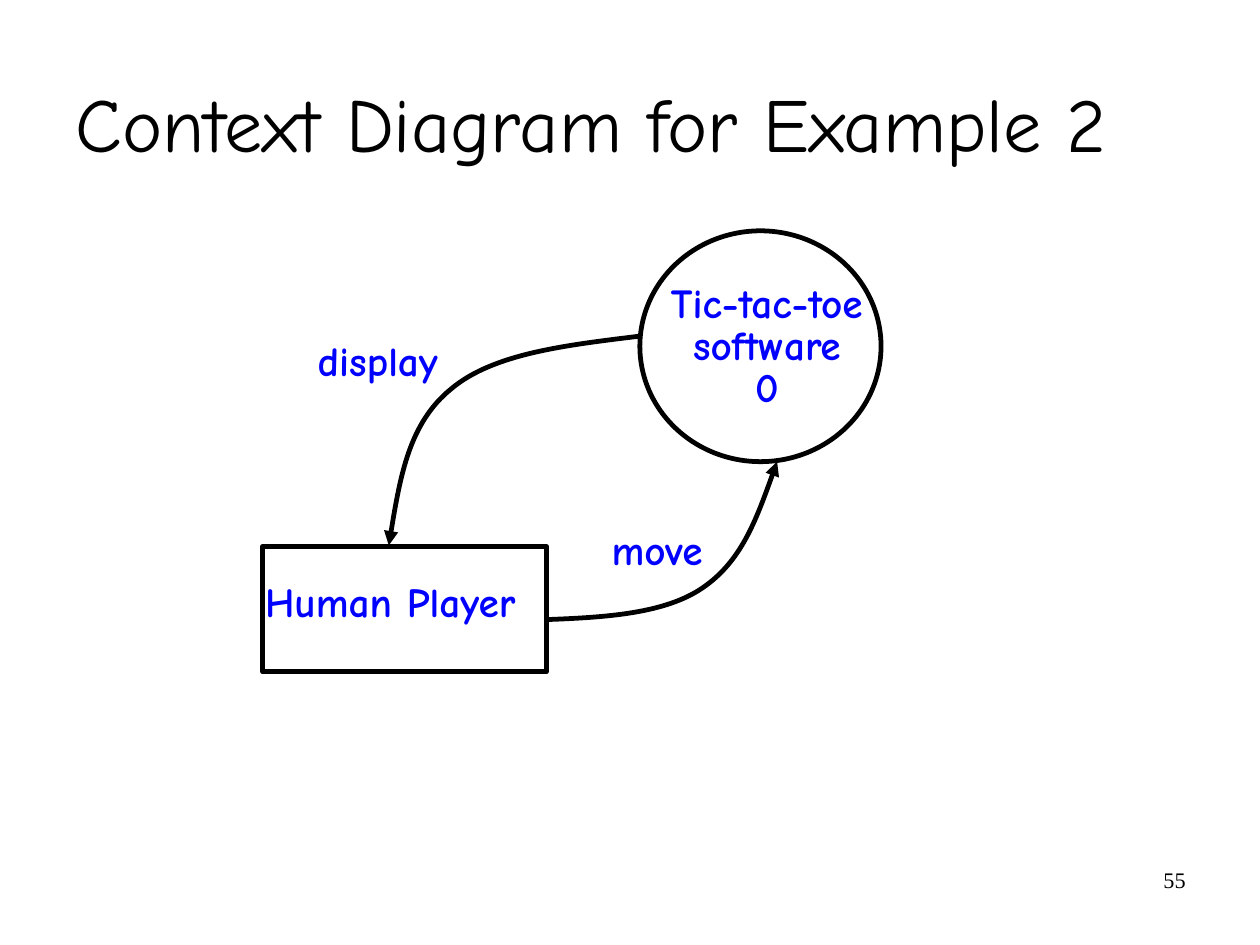
import pptx
import pptx.util
import pptx.dml.color
import pptx.enum.shapes
import pptx.enum.text
import pptx.oxml
import pptx.oxml.ns

Cm = pptx.util.Cm
Pt = pptx.util.Pt
ALIGN = pptx.enum.text.PP_ALIGN
ANCHOR = pptx.enum.text.MSO_ANCHOR
SHAPE = pptx.enum.shapes.MSO_SHAPE

COLOURS = {"ink": "000000", "label": "0000FF"}
TITLE_FONT = {"name": "Comic Neue", "size": Pt(48), "bold": False}
LABEL_FONT = {"name": "Comic Neue", "size": Pt(26), "bold": True}
NUMBER_FONT = {"name": "Times New Roman", "size": Pt(14), "bold": False}
TIGHT_FRAME = {
    "word_wrap": True,
    "auto_size": pptx.enum.text.MSO_AUTO_SIZE.NONE,
    "vertical_anchor": ANCHOR.TOP,
    "margin_left": Cm(0.05),
    "margin_right": Cm(0.05),
    "margin_top": Cm(0.15),
    "margin_bottom": Cm(0.15),
}
TITLE_FRAME = {**TIGHT_FRAME, "vertical_anchor": ANCHOR.MIDDLE}
NUMBER_FRAME = {
    **TIGHT_FRAME,
    "margin_left": Cm(0.25),
    "margin_right": Cm(0.25),
    "margin_top": Cm(0.13),
    "margin_bottom": Cm(0.13),
}


def colour(name):
    return pptx.dml.color.RGBColor.from_string(COLOURS[name])


def set_all(target, values):
    for name, value in values.items():
        setattr(target, name, value)


def lengths(values):
    return [Cm(value) for value in values]


def write(box, text, frame, font, ink, align, spacing):
    """Fill a box with one formatted paragraph."""
    set_all(box.text_frame, frame)
    para = box.text_frame.paragraphs[0]
    para.text = text
    set_all(para, {"alignment": align, "line_spacing": spacing, "space_before": Pt(0)})
    for span in para.runs:
        set_all(span.font, font)
        span.font.color.rgb = colour(ink)


def add_label(page, text, place, align=ALIGN.LEFT):
    box = page.shapes.add_textbox(*lengths(place))
    write(box, text, TIGHT_FRAME, LABEL_FONT, "label", align, 0.85)


def outline(shape):
    shape.shadow.inherit = False
    shape.fill.background()
    shape.line.color.rgb = colour("ink")
    shape.line.width = Pt(3)


def add_node(page, kind, place):
    node = page.shapes.add_shape(kind, *lengths(place))
    outline(node)
    return node


def add_flow(page, points):
    """Draw a curved arrow: a start point, then three points per Bézier piece."""
    start, *others = [lengths(point) for point in points]
    builder = page.shapes.build_freeform(*start)
    builder.add_line_segments(others, close=False)
    flow = builder.convert_to_shape()
    outline(flow)

    # Turn each three straight steps into one cubic curve
    qn = pptx.oxml.ns.qn
    steps = list(flow.element.iter(qn("a:lnTo")))
    for first in range(0, len(steps), 3):
        curve = pptx.oxml.parse_xml(f"<a:cubicBezTo {pptx.oxml.ns.nsdecls('a')}/>")
        steps[first].addprevious(curve)
        for step in steps[first:first + 3]:
            curve.append(step[0])
            step.getparent().remove(step)

    flow.line._get_or_add_ln().append(
        pptx.oxml.parse_xml(f'<a:tailEnd {pptx.oxml.ns.nsdecls("a")} type="triangle"/>'))


def main():
    deck = pptx.Presentation()
    deck.slide_width, deck.slide_height = Cm(28), Cm(21)
    page = deck.slides.add_slide(deck.slide_layouts[5])

    # Title and page number
    title = page.shapes.title
    title.left, title.top, title.width, title.height = lengths((1.24, 1.07, 23.8, 3.51))
    write(title, "Context Diagram for Example 2", TITLE_FRAME, TITLE_FONT,
          "ink", ALIGN.CENTER, 0.94)
    number = page.shapes.add_textbox(*lengths((20.07, 19.13, 6.53, 1.45)))
    write(number, "55", NUMBER_FRAME, NUMBER_FONT, "ink", ALIGN.RIGHT, 1.0)

    # Process and external entity
    add_node(page, SHAPE.OVAL, (14.22, 5.13, 5.36, 5.13))
    player = add_node(page, SHAPE.ROUNDED_RECTANGLE, (5.84, 12.14, 6.3, 2.79))
    player.adjustments[0] = 0
    add_label(page, "Human Player", (5.84, 12.83, 6.53, 1.4))
    add_label(page, "Tic-tac-toe software\v0", (14.48, 6.17, 5.13, 3.63), ALIGN.CENTER)

    # Data flows
    add_flow(page, [(14.22, 7.47), (12.6, 7.67), (10.97, 7.85), (10.03, 8.64),
                    (9.09, 9.4), (8.86, 10.77), (8.64, 12.12)])
    add_flow(page, [(12.14, 13.77), (13.46, 13.72), (14.78, 13.64), (15.62, 13.06),
                    (16.48, 12.47), (16.87, 11.38), (17.27, 10.26)])
    add_label(page, "display", (7.01, 7.47, 4.19, 1.4))
    add_label(page, "move", (13.54, 11.66, 4.9, 1.4))

    deck.save("out.pptx")


if __name__ == "__main__":
    main()
